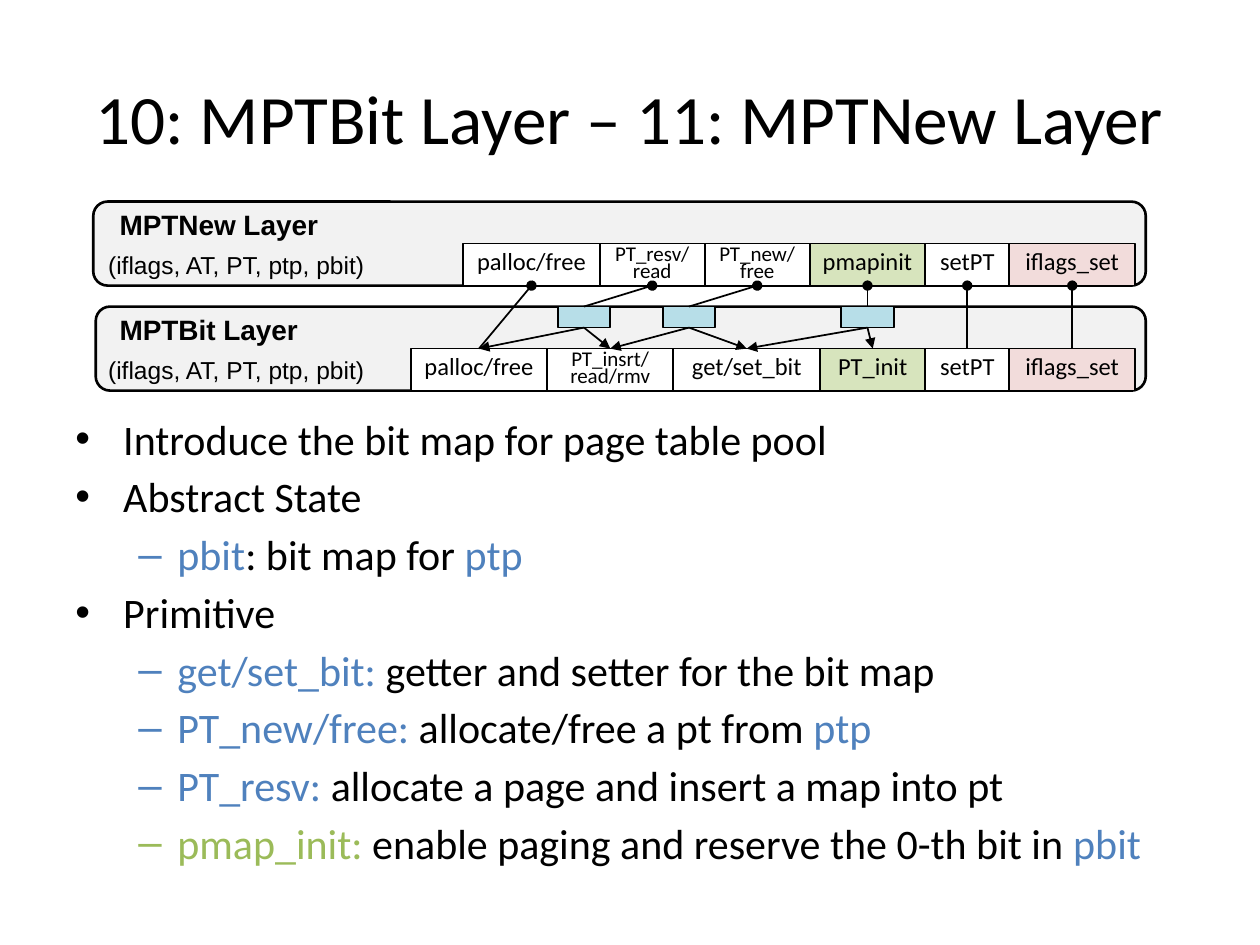
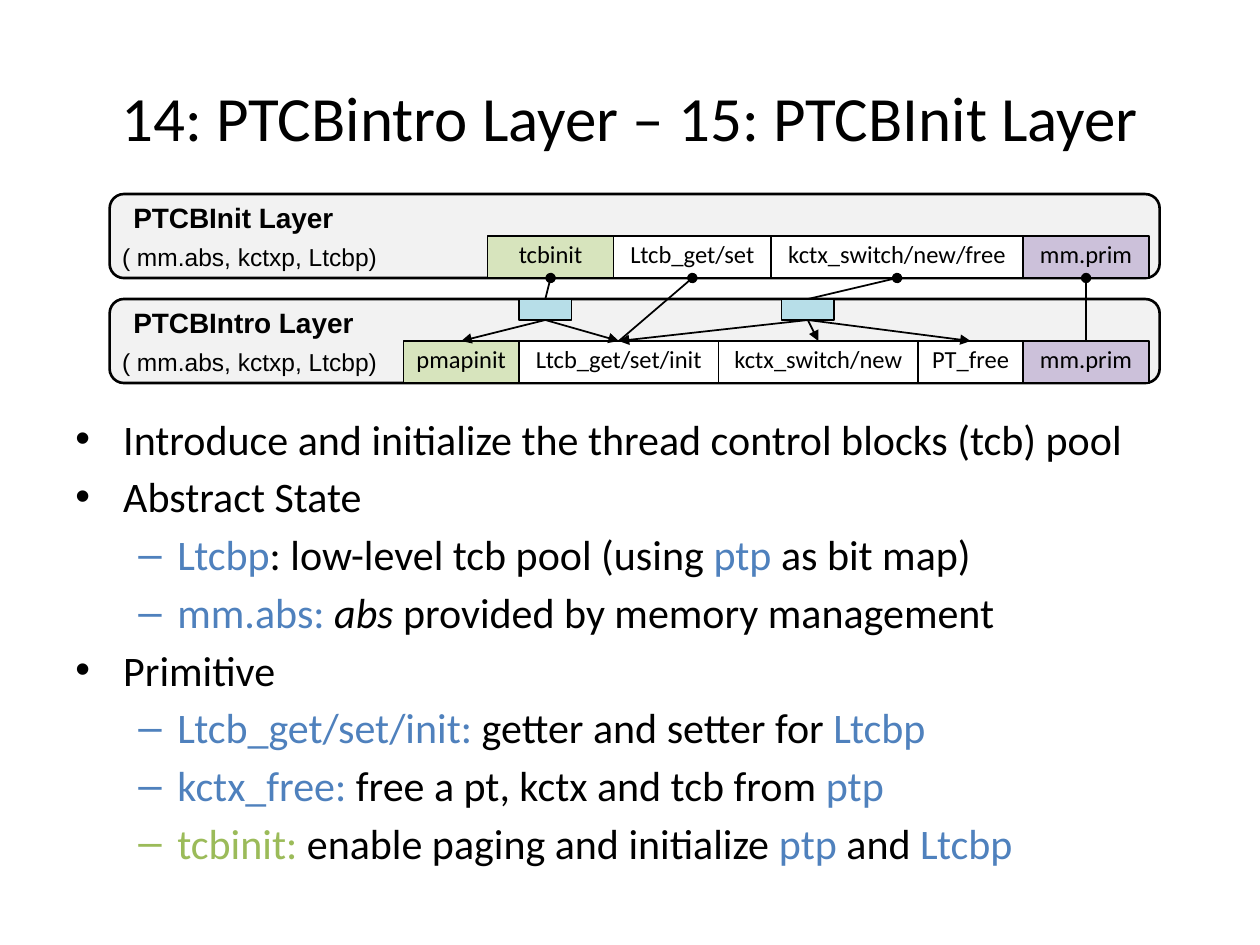
from itertools import accumulate

from lxml import etree
from pptx import Presentation
from pptx import util as u
from pptx.dml.color import RGBColor
from pptx.enum import shapes, text
from pptx.oxml.ns import qn

BLACK, WHITE, PANEL = "000000", "FFFFFF", "F2F2F2"
GREEN, PINK, PURPLE, TEAL = "D7E4BD", "F2DCDB", "CCC1DA", "B7DEE8"
BLUE, OLIVE = "4F81BD", "9BBB59"
UNIT = 1 / 12                   # diagram grid step in inches
BAND_W, BAND_H, PITCH = 100, 8, 10
ROW_H, ROW_END = 4, 99          # cells end one unit before the band does
LINKER_W, LINKER_H = 5, 2
TOP, BOTTOM = 0, 2              # connection sites
BULLETS = [("•", 0.38, -0.38), ("–", 0.81, -0.31)]


def color(value):
    return RGBColor.from_string(value)


def add_run(p, words, size, font="Calibri", fill=BLACK, bold=False, italic=False):
    r = p.add_run()
    r.text = words
    r.font.size, r.font.name = u.Pt(size), font
    r.font.bold, r.font.italic = bold, italic
    r.font.color.rgb = color(fill)


def add_box(s, kind, x, y, w, h, fill, width=1):
    sp = s.shapes.add_shape(kind, *map(u.Inches, (x, y, w, h)))
    sp.shadow.inherit = False
    sp.fill.solid()
    sp.fill.fore_color.rgb = color(fill)
    sp.line.color.rgb = color(BLACK)
    sp.line.width = u.Pt(width)
    return sp


def add_label(s, x, y, words, size, bold=False):
    sp = s.shapes.add_textbox(*map(u.Inches, (x, y, 2.58, 0.35)))
    sp.text_frame.word_wrap = True
    add_run(sp.text_frame.paragraphs[0], words, size, "Arial", bold=bold)


def add_link(s, start, end, **marks):
    """Join the bottom of one box to the top of another; marks are headEnd, tailEnd."""
    c = s.shapes.add_connector(shapes.MSO_CONNECTOR.STRAIGHT, 0, 0, 0, 0)
    c.begin_connect(start, BOTTOM)
    c.end_connect(end, TOP)
    c.line.color.rgb = color(BLACK)
    c.line.width = u.Pt(1)
    for tag, mark in marks.items():
        etree.SubElement(c.line._get_or_add_ln(), qn("a:" + tag), type=mark)
    etree.SubElement(c._element.spPr, qn("a:effectLst"))


def add_cells(s, left, top, cells):
    """Row of touching cells, set flush right; each is (text, units wide, fill, size)."""
    widths = [cell[1] for cell in cells]
    starts = accumulate(widths, initial=ROW_END - sum(widths))
    row = []
    for start, (words, w, fill, size) in zip(starts, cells):
        sp = add_box(s, shapes.MSO_SHAPE.RECTANGLE, left + start * UNIT, top,
                     w * UNIT, ROW_H * UNIT, fill)
        tf = sp.text_frame
        tf.word_wrap = True
        tf.vertical_anchor = text.MSO_ANCHOR.MIDDLE
        tf.margin_left = tf.margin_right = u.Inches(0.1 if size < 14 else 0)
        p = tf.paragraphs[0]
        p.alignment = text.PP_ALIGN.CENTER
        p.line_spacing = 0.7
        add_run(p, words, size)
        row.append(sp)
    return row


def add_layer(s, left, top, name, state, cells, stretch=0):
    sp = add_box(s, shapes.MSO_SHAPE.ROUNDED_RECTANGLE, left - stretch, top,
                 BAND_W * UNIT + stretch, BAND_H * UNIT, PANEL, 1.5)
    sp.adjustments[0] = 0.17
    add_label(s, left + 0.09, top, name, 16, bold=True)
    add_label(s, left, top + ROW_H * UNIT, state, 14)
    return add_cells(s, left, top + ROW_H * UNIT, cells)


def add_diagram(s, left, top, state, upper, lower, linkers, direct, stretch=0):
    """Two layers; linkers are (unit column, upper cell, lower cells)."""
    lower_top = top + PITCH * UNIT
    lower_row = add_layer(s, left, lower_top, lower[0], state, lower[1])
    upper_row = add_layer(s, left, top, upper[0], state, upper[1], stretch)
    for column, source, targets in linkers:
        linker = add_box(s, shapes.MSO_SHAPE.RECTANGLE, left + column * UNIT, lower_top,
                         LINKER_W * UNIT, LINKER_H * UNIT, TEAL)
        add_link(s, upper_row[source], linker, headEnd="oval")
        for target in targets:
            add_link(s, linker, lower_row[target], tailEnd="triangle")
    for source, target in direct:
        add_link(s, upper_row[source], lower_row[target], headEnd="oval")


def add_bullets(s, left, top, w, h, items):
    sp = s.shapes.add_textbox(*map(u.Inches, (left, top, w, h)))
    tf = sp.text_frame
    tf.word_wrap = True
    for i, (level, *runs) in enumerate(items):
        p = tf.paragraphs[0] if i == 0 else tf.add_paragraph()
        char, margin, indent = BULLETS[level]
        p.level = level
        if i:
            p.space_before = u.Pt(4.2)
        pPr = p._p.get_or_add_pPr()
        pPr.set("marL", str(u.Inches(margin)))
        pPr.set("indent", str(u.Inches(indent)))
        clr = etree.SubElement(pPr, qn("a:buClr"))
        etree.SubElement(clr, qn("a:srgbClr"), val=runs[0][1])
        etree.SubElement(pPr, qn("a:buFont"), typeface="Arial")
        etree.SubElement(pPr, qn("a:buChar"), char=char)
        for words, fill, *style in runs:
            add_run(p, words, 24, fill=fill, italic="italic" in style)


def add_layer_slide(prs, title, size, diagram, items):
    s = prs.slides.add_slide(prs.slide_layouts[5])
    sp = s.shapes.title
    sp.left, sp.top, sp.width, sp.height = map(u.Inches, (0.5, 0.3, 9, 1.25))
    tf = sp.text_frame
    tf.auto_size = text.MSO_AUTO_SIZE.NONE
    tf.vertical_anchor = text.MSO_ANCHOR.MIDDLE
    p = tf.paragraphs[0]
    p.alignment = text.PP_ALIGN.CENTER
    add_run(p, title, size)
    add_diagram(s, **diagram)
    add_bullets(s, 0.5, 3.23, 9.2, 3.9, items)


# Cells and bullets of the page table layers
SET_PT, IFLAGS = ("setPT", 8, WHITE, 14), ("iflags_set", 12, PINK, 14)
PALLOC = ("palloc/free", 13, WHITE, 14)
MPT_DIAGRAM = dict(
    left=0.76, top=1.6, stretch=0.02, state="(iflags, AT, PT, ptp, pbit)",
    upper=("MPTNew Layer", [
        PALLOC, ("PT_resv/read", 10, WHITE, 12), ("PT_new/free", 10, WHITE, 12),
        ("pmapinit", 11, GREEN, 14), SET_PT, IFLAGS]),
    lower=("MPTBit Layer", [
        PALLOC, ("PT_insrt/read/rmv", 12, WHITE, 12), ("get/set_bit", 14, WHITE, 14),
        ("PT_init", 10, GREEN, 14), SET_PT, IFLAGS]),
    linkers=[(44, 1, [0, 1]), (54, 2, [1, 2]), (71, 3, [2, 3])],
    direct=[(0, 0), (4, 4), (5, 5)])
MPT_ITEMS = [
    (0, ("Introduce the bit map for page table pool", BLACK)),
    (0, ("Abstract State", BLACK)),
    (1, ("pbit", BLUE), (": bit map for ", BLACK), ("ptp", BLUE)),
    (0, ("Primitive", BLACK)),
    (1, ("get/set_bit: ", BLUE), ("getter and setter for the bit map", BLACK)),
    (1, ("PT_new/free: ", BLUE), ("allocate/free a pt from ", BLACK), ("ptp", BLUE)),
    (1, ("PT_resv: ", BLUE), ("allocate a page and insert a map into pt", BLACK)),
    (1, ("pmap_init: ", OLIVE), ("enable paging and reserve the 0-th bit in ", BLACK),
     ("pbit", BLUE)),
]

# Cells and bullets of the thread control block layers
MM_PRIM = ("mm.prim", 12, PURPLE, 14)
TCB_DIAGRAM = dict(
    left=0.87, top=1.54, state="( mm.abs, kctxp, Ltcbp)",
    upper=("PTCBInit Layer", [
        ("tcbinit", 12, GREEN, 14), ("Ltcb_get/set", 15, WHITE, 14),
        ("kctx_switch/new/free", 24, WHITE, 14), MM_PRIM]),
    lower=("PTCBIntro Layer", [
        ("pmapinit", 11, GREEN, 14), ("Ltcb_get/set/init", 19, WHITE, 14),
        ("kctx_switch/new", 19, WHITE, 14), ("PT_free", 10, WHITE, 14), MM_PRIM]),
    linkers=[(39, 0, [0, 1]), (64, 2, [1, 2, 3])],
    direct=[(1, 1), (3, 4)])
TCB_ITEMS = [
    (0, ("Introduce and initialize the thread control blocks (tcb) pool", BLACK)),
    (0, ("Abstract State", BLACK)),
    (1, ("Ltcbp", BLUE), (": low-level tcb pool (using ", BLACK), ("ptp ", BLUE),
     ("as bit map)", BLACK)),
    (1, ("mm.abs: ", BLUE), ("abs", BLACK, "italic"),
     (" provided by memory management", BLACK)),
    (0, ("Primitive", BLACK)),
    (1, ("Ltcb_get/set/init: ", BLUE), ("getter and setter for ", BLACK), ("Ltcbp", BLUE)),
    (1, ("kctx_free: ", BLUE), ("free a pt, kctx and tcb from ", BLACK), ("ptp", BLUE)),
    (1, ("tcbinit: ", OLIVE), ("enable paging and initialize ", BLACK), ("ptp", BLUE),
     (" and ", BLACK), ("Ltcbp", BLUE)),
]


def main():
    prs = Presentation()
    prs.slide_width, prs.slide_height = u.Inches(10), u.Inches(7.5)
    add_layer_slide(prs, "10: MPTBit Layer – 11: MPTNew Layer", 39.6, MPT_DIAGRAM, MPT_ITEMS)
    add_layer_slide(prs, "14: PTCBintro Layer – 15: PTCBInit Layer", 36, TCB_DIAGRAM, TCB_ITEMS)
    prs.save("out.pptx")


if __name__ == "__main__":
    main()
